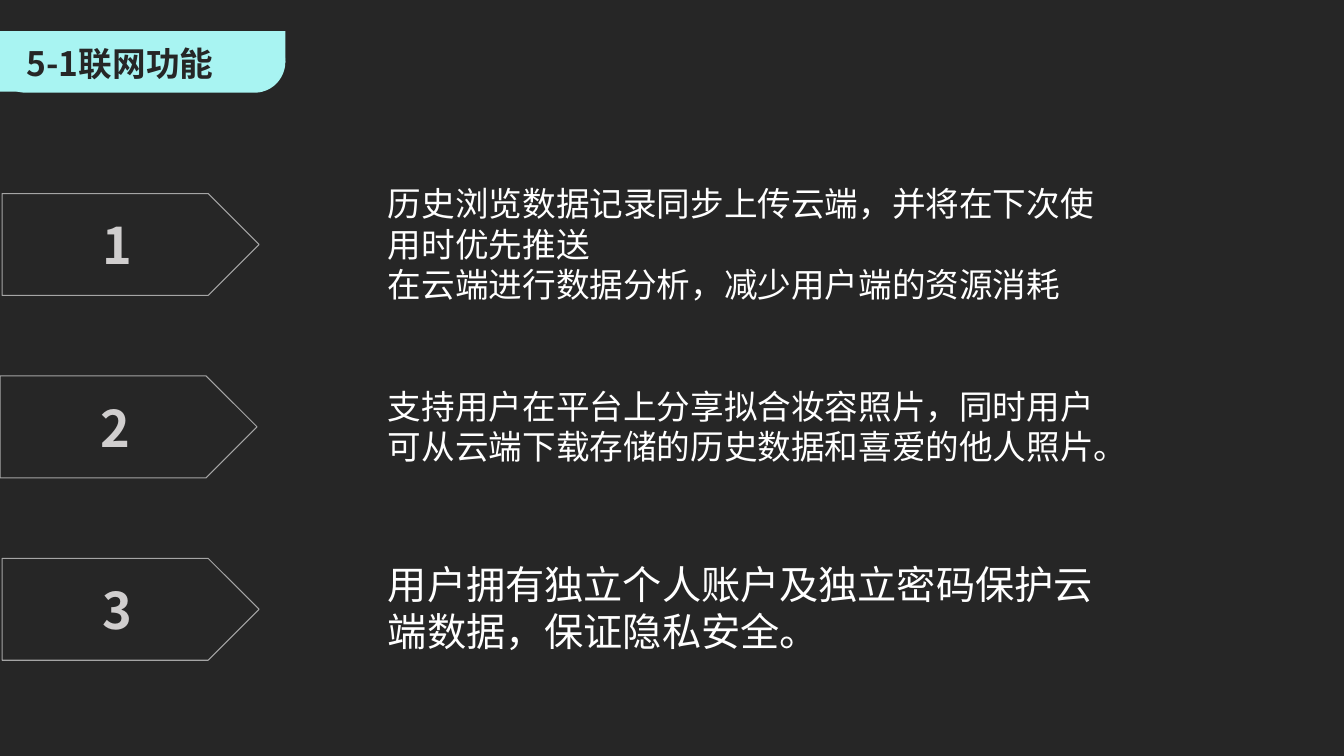
from lxml import etree
from pptx import Presentation
from pptx.dml.color import RGBColor
from pptx.enum import shapes, text
from pptx.oxml import ns
from pptx.util import Inches, Pt

# Content
HEADING = "5-1联网功能"
# (arrow left, text top, text height, text size, paragraphs)
FEATURES = [
    (0.02, 1.77, 1.31, 24, ["历史浏览数据记录同步上传云端，并将在下次使用时优先推送",
                            "在云端进行数据分析，减少用户端的资源消耗"]),
    (0, 3.78, 0.91, 24, ["支持用户在平台上分享拟合妆容照片，同时用户可从云端下载存储的历史数据和喜爱的他人照片。"]),
    (0.02, 5.51, 1.04, 28, ["用户拥有独立个人账户及独立密码保护云端数据，保证隐私安全。"]),
]

# Style and layout
COLORS = {"background": "262626", "tab": "A8F4F2", "outline": "A5A5A5",
          "number": "D0CECE", "body": "FFFFFF", "heading": "262626"}
FONT = "Noto Sans CJK SC"
ARROW_TOP, ARROW_STEP, ARROW_WIDTH, ARROW_HEIGHT = 1.92, 1.81, 2.55, 1.01
TEXT_LEFT, TEXT_WIDTH = 3.75, 7.44
TAB_PARTS = [  # rounded bar, then squares covering all but its lower right corner
    (shapes.MSO_SHAPE.ROUNDED_RECTANGLE, (-0.05, 0.31, 2.88, 0.61)),
    (shapes.MSO_SHAPE.RECTANGLE, (0, 0.31, 0.81, 0.26)),
    (shapes.MSO_SHAPE.RECTANGLE, (0, 0.65, 0.81, 0.26)),
    (shapes.MSO_SHAPE.RECTANGLE, (2.02, 0.31, 0.81, 0.31)),
]


def color(name):
    return RGBColor.from_string(COLORS[name])


def add_shape(parent, kind, box):
    shape = parent.shapes.add_shape(kind, *map(Inches, box))
    shape.shadow.inherit = False
    return shape


def write(shape, lines, size, color_name, bold=False, align=text.PP_ALIGN.LEFT):
    frame = shape.text_frame
    frame.word_wrap = True
    for index, line in enumerate(lines):
        paragraph = frame.add_paragraph() if index else frame.paragraphs[0]
        paragraph.alignment = align
        run = paragraph.add_run()
        run.text = line
        formats = {"name": FONT, "size": Pt(size), "bold": bold}
        for attribute, value in formats.items():
            setattr(run.font, attribute, value)
        run.font.color.rgb = color(color_name)
        east_asian = etree.SubElement(run._r.get_or_add_rPr(), ns.qn("a:ea"))
        east_asian.set("typeface", FONT)


def add_text(slide, box, *args, **formats):
    text_box = slide.shapes.add_textbox(*map(Inches, box))
    write(text_box, *args, **formats)
    text_box.text_frame.auto_size = text.MSO_AUTO_SIZE.SHAPE_TO_FIT_TEXT


def main():
    presentation = Presentation()
    presentation.slide_width, presentation.slide_height = Inches(13.33), Inches(7.5)
    slide = presentation.slides.add_slide(presentation.slide_layouts[6])
    slide.background.fill.solid()
    slide.background.fill.fore_color.rgb = color("background")

    # Heading tab
    tab = slide.shapes.add_group_shape()
    for kind, box in TAB_PARTS:
        part = add_shape(tab, kind, box)
        part.fill.solid()
        part.fill.fore_color.rgb = color("tab")
        part.line.fill.background()
    tab.shapes[0].adjustments[0] = 0.5

    # Numbered arrows with their descriptions
    for index, (left, text_top, text_height, size, lines) in enumerate(FEATURES):
        arrow_box = (left, ARROW_TOP + index * ARROW_STEP, ARROW_WIDTH, ARROW_HEIGHT)
        arrow = add_shape(slide, shapes.MSO_SHAPE.PENTAGON, arrow_box)
        arrow.fill.background()
        arrow.line.color.rgb = color("outline")
        arrow.line.width = Pt(0.75)
        arrow.text_frame.vertical_anchor = text.MSO_ANCHOR.MIDDLE
        write(arrow, [str(index + 1)], 36, "number", bold=True, align=text.PP_ALIGN.CENTER)
        add_text(slide, (TEXT_LEFT, text_top, TEXT_WIDTH, text_height), lines, size, "body")

    # Heading text
    add_text(slide, (-0.25, 0.38, 2.88, 0.5), [HEADING], 24, "heading",
             bold=True, align=text.PP_ALIGN.CENTER)

    presentation.save("out.pptx")


if __name__ == "__main__":
    main()
